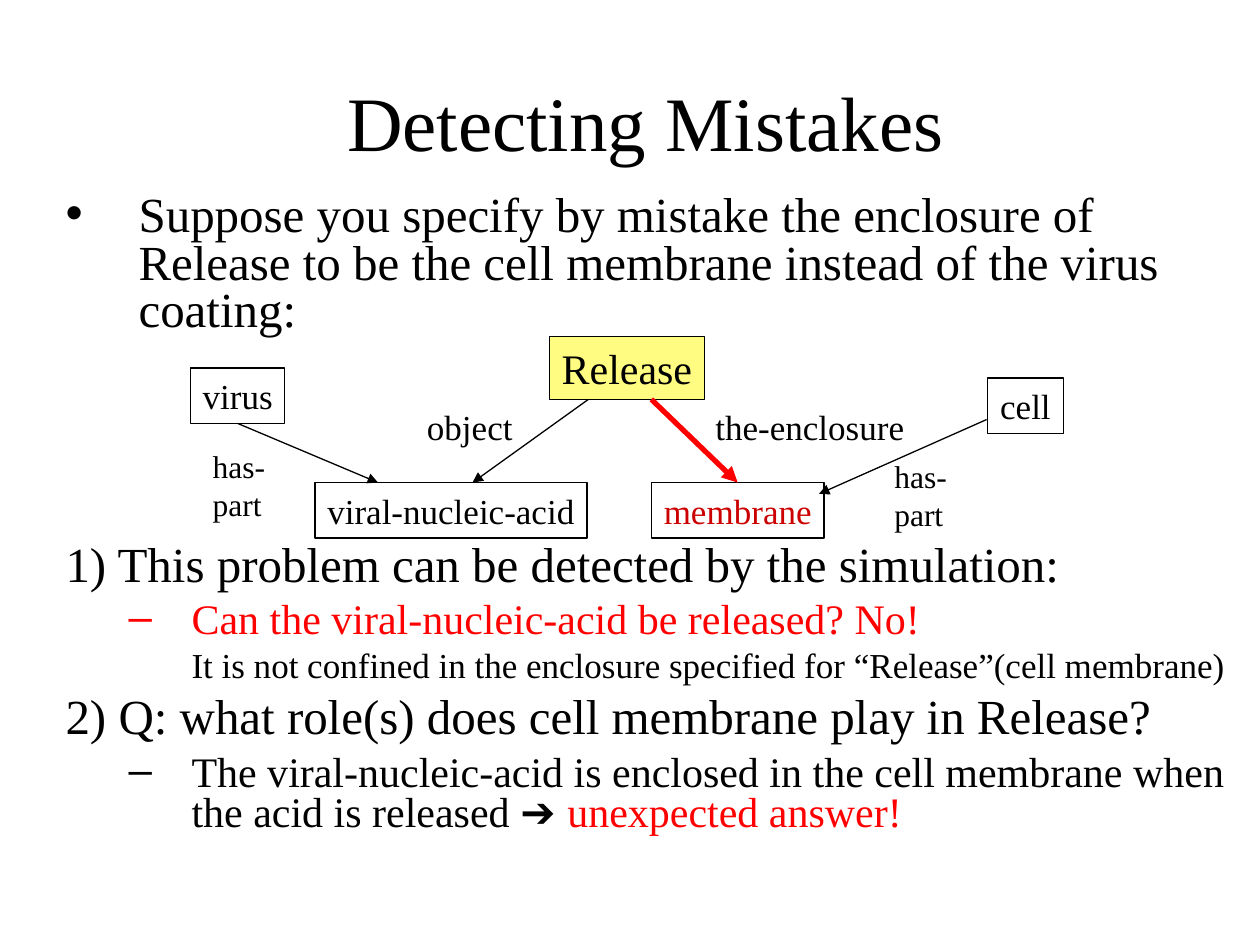
from dataclasses import dataclass

from lxml import etree
from pptx import Presentation
from pptx.dml.color import RGBColor
from pptx.enum.shapes import MSO_CONNECTOR, MSO_SHAPE
from pptx.enum.text import MSO_ANCHOR, MSO_AUTO_SIZE, PP_ALIGN
from pptx.oxml.ns import qn
from pptx.util import Inches, Pt

RECTANGLE = MSO_SHAPE.RECTANGLE
STRAIGHT = MSO_CONNECTOR.STRAIGHT
MIDDLE = MSO_ANCHOR.MIDDLE
NO_AUTOFIT = MSO_AUTO_SIZE.NONE
LEFT, CENTER = PP_ALIGN.LEFT, PP_ALIGN.CENTER
SERIF, SANS = "Times New Roman", "Arial"
BLACK, RED, DARK_RED, YELLOW = "000000", "FF0000", "CC0000", "FFFC81"
TOP, BOTTOM = 0, 2


@dataclass
class Node:
    text: str
    left: float
    top: float
    width: float
    height: float = 0.44
    size: int = 20
    color: str = BLACK
    fill: str | None = None


@dataclass
class Arrow:
    start: tuple[float, float]
    end: tuple[float, float]
    color: str = BLACK
    weight: float = 0.75
    source: str | None = None  # node joined at its bottom middle
    target: str | None = None  # node joined at its top middle


@dataclass
class Point:
    runs: list[tuple[str, str, str]]  # text, colour, font
    level: int = 0
    bullet: str | None = None
    before: float = 0


# Size, left margin and first-line indent of each outline level
LEVELS = [(28, 0.58, -0.58), (24, 1.0, -0.5), (20, 1.42, -0.42)]
DIAGRAM_GAP = 119

POINTS = [
    Point([("Suppose you specify by mistake the enclosure of Release to be the "
            "cell membrane instead of the virus coating:", BLACK, SERIF)], bullet="•"),
    Point([("1) This problem can be detected by the simulation:", BLACK, SERIF)],
          before=DIAGRAM_GAP),
    Point([("Can the viral-nucleic-acid be released? No!", RED, SERIF)], 1, "–", 6),
    Point([("It is not confined in the enclosure specified for "
            "“Release”(cell membrane)", BLACK, SERIF)], 2, None, 5),
    Point([("2) Q: what role(s) does cell membrane play in Release?", BLACK, SERIF)],
          before=7),
    Point([("The viral-nucleic-acid is enclosed in the cell membrane when the acid "
            "is released ", BLACK, SERIF),
           ("➔ ", BLACK, SANS), ("unexpected answer!", RED, SERIF)], 1, "–", 6),
]

BOXES = [
    Node("Release", 4.36, 2.67, 1.23, 0.5, 24, fill=YELLOW),
    Node("viral-nucleic-acid", 2.5, 3.83, 2.16),
    Node("virus", 1.51, 2.92, 0.75),
    Node("membrane", 5.17, 3.83, 1.37, color=DARK_RED),
    Node("cell", 7.84, 3.0, 0.6),
]
LABELS = [
    Node("the-enclosure", 5.58, 3.17, 1.7),
    Node("object", 3.29, 3.17, 0.88),
    Node("has-part", 1.59, 3.5, 1.0, 0.4, 18),
    Node("has-part", 7.0, 3.58, 1.0, 0.4, 18),
]
ARROWS = [
    Arrow((5.17, 3.17), (5.83, 3.83), RED, 3, target="membrane"),
    Arrow((4.67, 3.17), (3.75, 3.83)),
    Arrow((1.92, 3.33), (3.0, 3.83), source="virus"),
    Arrow((7.83, 3.33), (6.5, 3.92)),
]


def rgb(value: str) -> RGBColor:
    return RGBColor.from_string(value)


def style_font(font, size: int, color: str, name: str = SERIF) -> None:
    font.size = Pt(size)
    font.name = name
    font.color.rgb = rgb(color)


def place(shape, left: float, top: float, width: float, height: float) -> None:
    shape.left, shape.top = Inches(left), Inches(top)
    shape.width, shape.height = Inches(width), Inches(height)


def set_bullet(paragraph, margin: float, indent: float, char: str | None,
               color: str) -> None:
    props = paragraph._p.get_or_add_pPr()
    props.set("marL", str(Inches(margin)))
    props.set("indent", str(Inches(indent)))
    if char is None:
        etree.SubElement(props, qn("a:buNone"))
        return
    bullet_color = etree.SubElement(props, qn("a:buClr"))
    etree.SubElement(bullet_color, qn("a:srgbClr"), val=color)
    etree.SubElement(props, qn("a:buChar"), char=char)


def add_point(paragraph, point: Point) -> None:
    size, margin, indent = LEVELS[point.level]
    paragraph.level = point.level
    set_bullet(paragraph, margin, indent, point.bullet, point.runs[0][1])
    paragraph.line_spacing = 0.8
    paragraph.space_before = Pt(point.before)
    for text, color, font_name in point.runs:
        run = paragraph.add_run()
        run.text = text
        style_font(run.font, size, color, font_name)


def write_node(shape, node: Node) -> None:
    frame = shape.text_frame
    frame.text = node.text
    frame.word_wrap = False
    paragraph = frame.paragraphs[0]
    paragraph.alignment = LEFT
    style_font(paragraph.runs[0].font, node.size, node.color)


def add_box(shapes, node: Node):
    box = shapes.add_shape(RECTANGLE, Inches(node.left), Inches(node.top),
                           Inches(node.width), Inches(node.height))
    box.shadow.inherit = False
    if node.fill:
        box.fill.solid()
        box.fill.fore_color.rgb = rgb(node.fill)
    else:
        box.fill.background()
    box.line.color.rgb = rgb(BLACK)
    box.line.width = Pt(0.75)
    write_node(box, node)
    return box


def add_label(shapes, node: Node) -> None:
    label = shapes.add_textbox(Inches(node.left), Inches(node.top),
                               Inches(node.width), Inches(node.height))
    write_node(label, node)


def add_arrow(shapes, arrow: Arrow, boxes: dict) -> None:
    ends = [Inches(value) for value in arrow.start + arrow.end]
    connector = shapes.add_connector(STRAIGHT, *ends)
    if arrow.source:
        connector.begin_connect(boxes[arrow.source], BOTTOM)
    if arrow.target:
        connector.end_connect(boxes[arrow.target], TOP)
    connector.line.color.rgb = rgb(arrow.color)
    connector.line.width = Pt(arrow.weight)
    etree.SubElement(connector.line._get_or_add_ln(), qn("a:tailEnd"), type="triangle")
    etree.SubElement(connector._element.spPr, qn("a:effectLst"))


def main() -> None:
    deck = Presentation()
    deck.slide_width, deck.slide_height = Inches(10), Inches(7.5)
    slide = deck.slides.add_slide(deck.slide_layouts[1])

    # Title
    title = slide.shapes.title
    place(title, 0.75, 0.33, 8.75, 1.25)
    title.text_frame.text = "Detecting Mistakes"
    title.text_frame.auto_size = NO_AUTOFIT
    title.text_frame.vertical_anchor = MIDDLE
    heading = title.text_frame.paragraphs[0]
    heading.alignment = CENTER
    style_font(heading.runs[0].font, 44, BLACK)

    # Outline, with room for the diagram after the first point
    body = slide.placeholders[1]
    place(body, 0.42, 1.5, 9.58, 5.42)
    outline = body.text_frame
    outline.auto_size = NO_AUTOFIT
    for index, point in enumerate(POINTS):
        add_point(outline.add_paragraph() if index else outline.paragraphs[0], point)

    # Concept diagram
    boxes = {node.text: add_box(slide.shapes, node) for node in BOXES}
    for label in LABELS:
        add_label(slide.shapes, label)
    for arrow in ARROWS:
        add_arrow(slide.shapes, arrow, boxes)

    deck.save("out.pptx")


if __name__ == "__main__":
    main()
